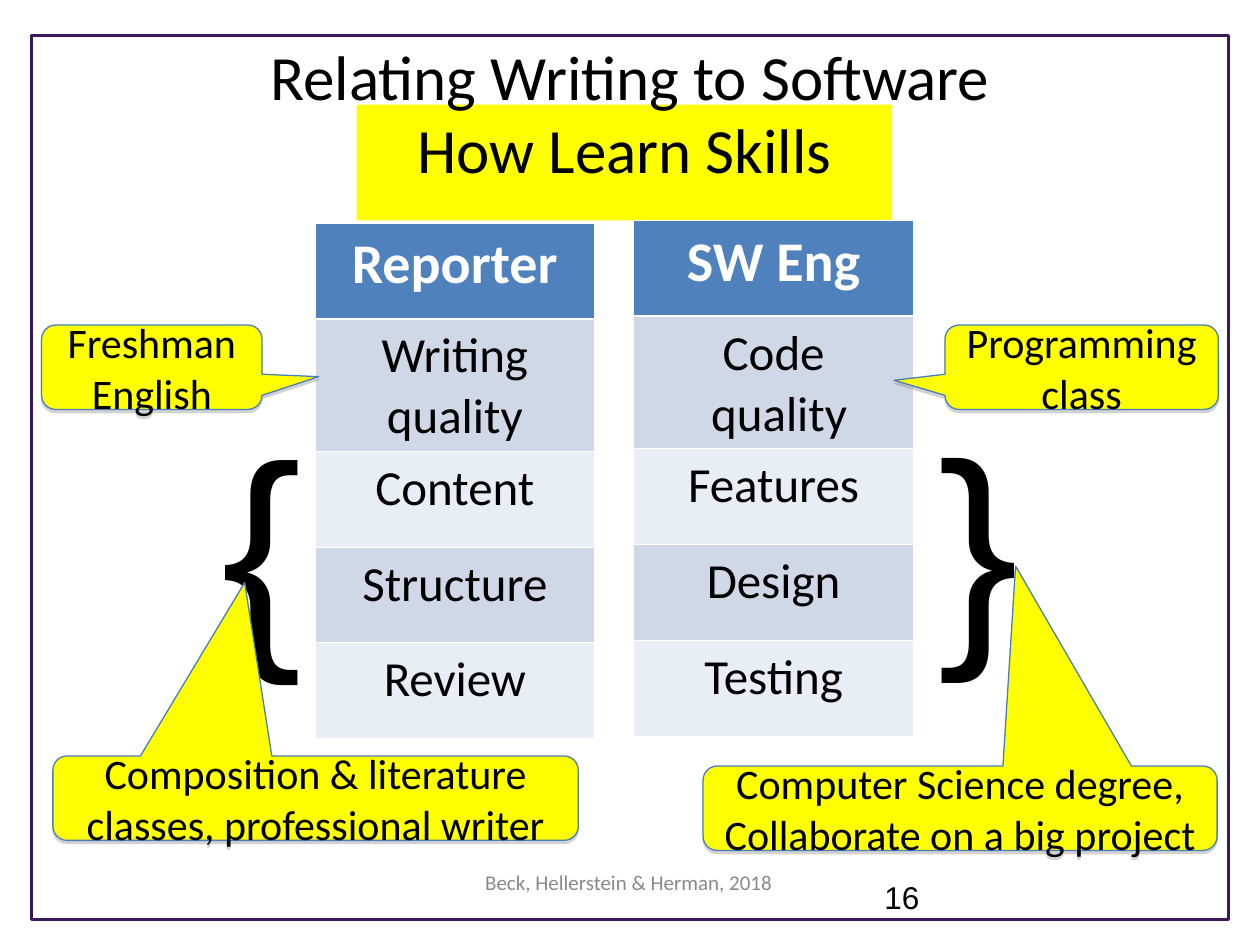
from lxml import etree
from pptx import Presentation
from pptx import util as u
from pptx.dml import color
from pptx.enum import shapes, text
from pptx.oxml import ns

COLORS = {
    "border": "3B185A", "yellow": "FFFF00", "black": "000000", "white": "FFFFFF",
    "header": "4F81BD", "odd": "D0D8E8", "even": "E9EDF4",
    "outline": "4A7EBB", "shadow": "808080", "footer": "898989",
}
CENTER = text.PP_ALIGN.CENTER
LEFT = text.PP_ALIGN.LEFT
ROW_HEIGHTS = (0.76, 1.05, 0.76, 0.76, 0.76)


def rgb(name):
    """Return the named colour."""
    return color.RGBColor.from_string(COLORS[name])


def inches(box):
    """Convert a box of numbers to lengths."""
    return [u.Inches(value) for value in box]


def write(frame, content, size, ink="black", align=CENTER, spacing=None, **font):
    """Fill a text frame, one paragraph for each line of content."""
    frame.text = content
    values = {"name": "Calibri", "size": u.Pt(size), **font}
    for paragraph in frame.paragraphs:
        paragraph.alignment = align
        paragraph.line_spacing = spacing
        paragraph.font.color.rgb = rgb(ink)
        for key, value in values.items():
            setattr(paragraph.font, key, value)


def add_label(slide, box, content, size, wrap=True, rotation=0, **style):
    """Place a text box."""
    label = slide.shapes.add_textbox(*inches(box))
    label.rotation = rotation
    label.text_frame.word_wrap = wrap
    write(label.text_frame, content, size, **style)


def add_panel(slide, box, fill=None, line=None, width=0.75, kind=shapes.MSO_SHAPE.RECTANGLE):
    """Place a preset shape with an optional fill and outline."""
    panel = slide.shapes.add_shape(kind, *inches(box))
    panel.shadow.inherit = False
    if fill:
        panel.fill.solid()
        panel.fill.fore_color.rgb = rgb(fill)
    else:
        panel.fill.background()
    if line:
        panel.line.color.rgb = rgb(line)
        panel.line.width = u.Pt(width)
    else:
        panel.line.fill.background()
    return panel


def add_heading(slide, title_box, banner_box):
    """Place the title in front of the yellow subtitle banner."""
    banner = add_panel(slide, banner_box, fill="yellow")
    banner.text_frame.vertical_anchor = text.MSO_ANCHOR.TOP
    write(banner.text_frame, "How Learn Skills", 36)
    title = slide.shapes.title
    title.left, title.top, title.width, title.height = inches(title_box)
    title.text_frame.vertical_anchor = text.MSO_ANCHOR.TOP
    title.text_frame.auto_size = text.MSO_AUTO_SIZE.NONE
    write(title.text_frame, "Relating Writing to Software", 36)
    banner._element.addnext(title._element)


def add_cell_borders(cell, widths):
    """Draw white borders of the given widths, in points, on a cell."""
    properties = cell._tc.get_or_add_tcPr()
    for index, (side, width) in enumerate(widths.items()):
        line = etree.Element(ns.qn(f"a:ln{side}"), w=str(u.Pt(width)))
        fill = etree.SubElement(line, ns.qn("a:solidFill"))
        etree.SubElement(fill, ns.qn("a:srgbClr"), val=COLORS["white"])
        properties.insert(index, line)


def add_skill_table(slide, box, entries):
    """Place a one-column table with a header and banded rows."""
    table = slide.shapes.add_table(len(entries), 1, *inches(box)).table
    table.first_row = table.horz_banding = False
    for index, (entry, height) in enumerate(zip(entries, ROW_HEIGHTS)):
        table.rows[index].height = u.Inches(height)
        cell = table.cell(index, 0)
        header = index == 0
        cell.fill.solid()
        cell.fill.fore_color.rgb = rgb("header" if header else ("even", "odd")[index % 2])
        add_cell_borders(cell, {"L": 0.45, "R": 0.45, "T": 1.47 if index == 1 else 0.45,
                                "B": 1.47 if header else 0.45})
        write(cell.text_frame, entry, 32 if header else 28,
              ink="white" if header else "black", spacing=1.02, bold=header)


def add_callout(slide, box, content, tip):
    """Place a yellow callout whose tip is an offset in shares of its size."""
    callout = add_panel(slide, box, "yellow", "outline",
                        kind=shapes.MSO_SHAPE.ROUNDED_RECTANGULAR_CALLOUT)
    for index, value in enumerate((*tip, 0.167)):
        callout.adjustments[index] = value
    effects = callout._element.spPr.find(ns.qn("a:effectLst"))
    shadow = etree.SubElement(effects, ns.qn("a:outerShdw"), blurRad="0",
                              dist=str(u.Pt(1.8)), dir="5400000", rotWithShape="0")
    tint = etree.SubElement(shadow, ns.qn("a:srgbClr"), val=COLORS["shadow"])
    etree.SubElement(tint, ns.qn("a:alpha"), val="35000")
    callout.text_frame.vertical_anchor = text.MSO_ANCHOR.MIDDLE
    callout.text_frame.word_wrap = True
    write(callout.text_frame, content, 24)


def add_brace(slide, box, rotation=0):
    """Place a large brace beside a table."""
    add_label(slide, box, "{", 138, wrap=False, rotation=rotation, align=LEFT, name="Arial")


def build_slide(presentation):
    """Compose the slide from its regions."""
    slide = presentation.slides.add_slide(presentation.slide_layouts[5])
    add_panel(slide, (0.25, 0.28, 9.5, 7.02), line="border", width=1.75)
    add_heading(slide, (0.5, 0.25, 9, 0.92), (2.83, 0.83, 4.25, 0.92))
    add_label(slide, (6.92, 6.92, 1.92, 0.4), "16", 18, align=LEFT, name="Arial")
    add_skill_table(slide, (2.5, 1.77, 2.22, 4.1),
                    ("Reporter", "Writing quality", "Content", "Structure", "Review"))
    add_skill_table(slide, (5.03, 1.75, 2.22, 4.1),
                    ("SW Eng", "Code\n quality", "Features", "Design", "Testing"))
    add_callout(slide, (0.33, 2.58, 1.75, 0.67), "Freshman English", (0.757, 0.112))
    add_callout(slide, (7.5, 2.58, 2.17, 0.67), "Programming\nclass", (-0.686, 0.155))
    add_label(slide, (3.41, 6.85, 3.16, 0.4), "Beck, Hellerstein & Herman, 2018", 12, ink="footer")
    add_brace(slide, (1.66, 3.08, 0.84, 2.4))
    add_callout(slide, (0.42, 6, 4.17, 0.67),
                "Composition & literature classes, professional writer", (-0.135, -2.553))
    add_brace(slide, (7.34, 3.6, 0.84, 2.4), rotation=180)
    add_callout(slide, (5.58, 6.08, 4.08, 0.67),
                "Computer Science degree, Collaborate on a big project", (0.108, -2.868))


def main():
    """Build and save the presentation."""
    presentation = Presentation()
    presentation.slide_width, presentation.slide_height = inches((10, 7.5))
    build_slide(presentation)
    presentation.save("out.pptx")


if __name__ == "__main__":
    main()
